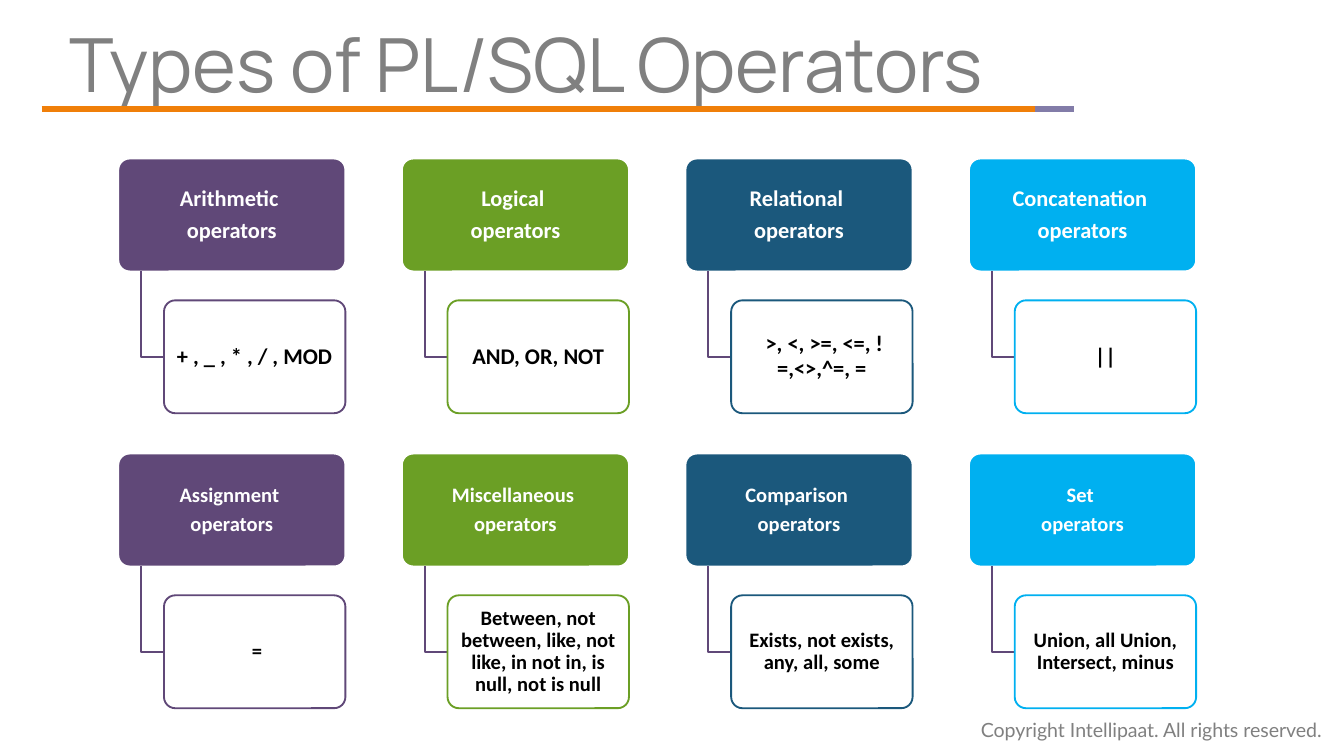
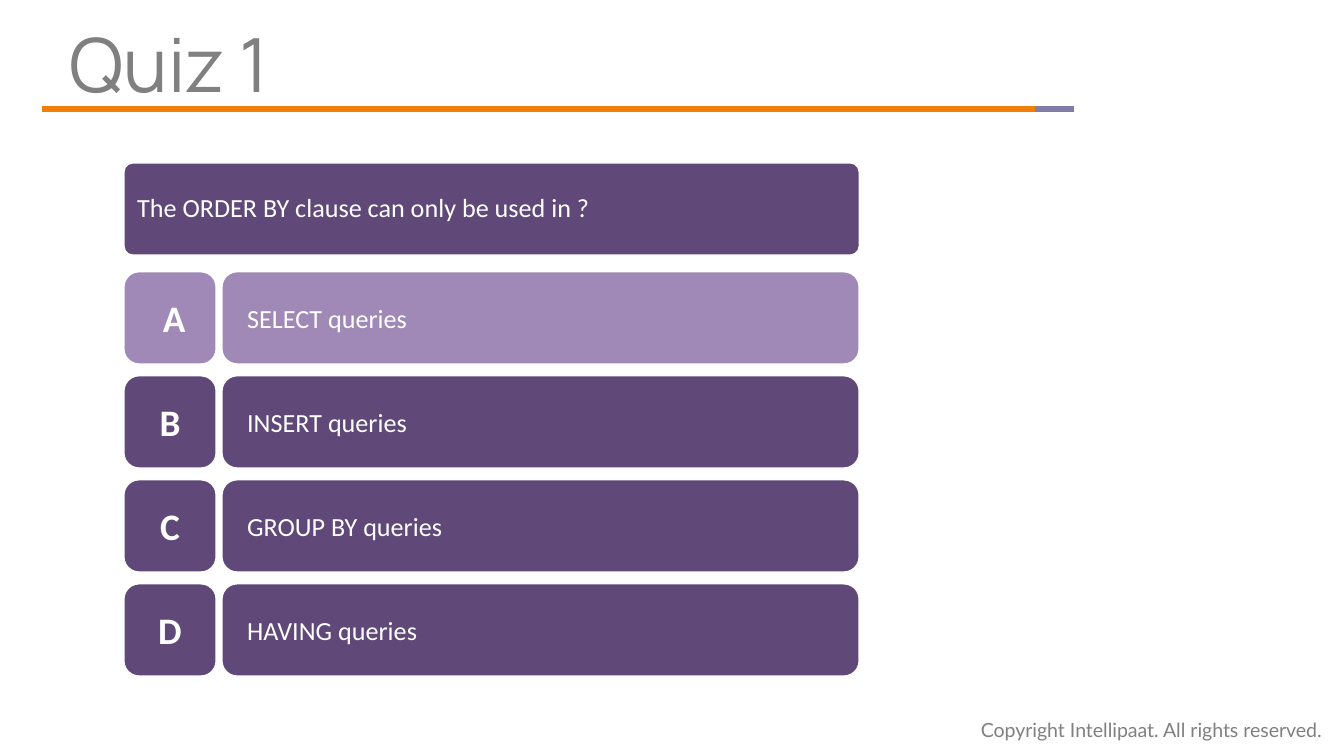
from lxml import etree
from pptx import Presentation
from pptx import util as u
from pptx.dml.color import RGBColor
from pptx.enum import shapes, text
from pptx.oxml import ns

WHITE = RGBColor(0xFF, 0xFF, 0xFF)
BLACK = RGBColor(0x00, 0x00, 0x00)
GREY = RGBColor(0x80, 0x80, 0x80)
ORANGE = RGBColor(0xF0, 0x7F, 0x09)
LILAC = RGBColor(0x82, 0x7C, 0xA8)
PURPLE = RGBColor(0x60, 0x48, 0x78)
MAUVE = RGBColor(0xA0, 0x88, 0xB7)
GREEN = RGBColor(0x6B, 0x9F, 0x25)
NAVY = RGBColor(0x1B, 0x58, 0x7C)
SKY = RGBColor(0x00, 0xB0, 0xF0)

COLS, ROWS = 100, 56.25
CELL = u.Inches(0.1)
LEFT, MID = text.PP_ALIGN.LEFT, text.PP_ALIGN.CENTER


def grid(*cells):
    """Turn grid cells into lengths."""
    return [u.Emu(round(cell * CELL)) for cell in cells]


class Deck:
    """Holds the shared style and the current slide."""

    def __init__(self):
        self.prs = Presentation()
        self.prs.slide_width, self.prs.slide_height = grid(COLS, ROWS)
        self.slide = None

    def page(self, title):
        self.slide = self.prs.slides.add_slide(self.prs.slide_layouts[5])
        self.title(title)
        self.rule(3.1, 77, ORANGE)
        self.rule(77, 79.9, LILAC)
        self.footer("Copyright Intellipaat. All rights reserved.")

    def title(self, words):
        box = self.slide.shapes.title
        box.left, box.top, box.width, box.height = grid(5.2, 1.6, 71, 6.3)
        self.label(box.text_frame, words, 40, GREY, name="Manrope", pad=(0, 0.5, 1, 0.5),
                   anchor=text.MSO_ANCHOR.TOP, lead=0.9)

    def rule(self, start, end, color):
        line = self.slide.shapes.add_connector(
            shapes.MSO_CONNECTOR.STRAIGHT, *grid(start, 8.1, end, 8.1))
        line.line.color.rgb = color
        line.line.width = u.Pt(3)
        etree.SubElement(line._element.spPr, ns.qn("a:effectLst"))

    def footer(self, words):
        box = self.slide.shapes.add_textbox(*grid(72, 52.9, 28.3, 2.8))
        frame = box.text_frame
        self.label(frame, words, 10.5, GREY, name="Lato", pad=(1, 0.5, 1, 0.5))
        frame.word_wrap = False
        frame.auto_size = text.MSO_AUTO_SIZE.SHAPE_TO_FIT_TEXT

    def label(self, frame, words, size, color, name="Calibri", bold=False, align=LEFT,
              pad=(0.3, 0.2, 0.3, 0.2), anchor=text.MSO_ANCHOR.MIDDLE, lead=1.0, after=0):
        """Fill a frame, one paragraph a line; after is a share of the text size."""
        frame.text = words
        frame.word_wrap = True
        frame.auto_size = text.MSO_AUTO_SIZE.NONE
        frame.vertical_anchor = anchor
        (frame.margin_left, frame.margin_top,
         frame.margin_right, frame.margin_bottom) = grid(*pad)
        for par in frame.paragraphs:
            par.alignment = align
            par.line_spacing = lead
            par.space_before = u.Pt(0)
            par.space_after = u.Pt(after * size)
            font = par.font
            font.name, font.size, font.bold = name, u.Pt(size), bold
            font.color.rgb = color

    def box(self, area, words, size, fill, ink=WHITE, edge=WHITE, curve=0.1, alpha=None,
            **style):
        """Add a rounded box with text; alpha is the fill's opacity in percent."""
        box = self.slide.shapes.add_shape(
            shapes.MSO_SHAPE.ROUNDED_RECTANGLE, *grid(*area))
        box.adjustments[0] = curve
        box.shadow.inherit = False
        box.fill.solid()
        box.fill.fore_color.rgb = fill
        if alpha:
            tint = box._element.spPr.find(".//" + ns.qn("a:srgbClr"))
            etree.SubElement(tint, ns.qn("a:alpha"), val=str(alpha * 1000))
        box.line.color.rgb = edge
        box.line.width = u.Pt(1)
        self.label(box.text_frame, words, size, ink, **style)

    def elbow(self, left, top, right, low):
        pen = self.slide.shapes.build_freeform(*grid(left, top))
        pen.add_line_segments([grid(left, low), grid(right, low)], close=False)
        bend = pen.convert_to_shape()
        bend.shadow.inherit = False
        bend.fill.background()
        bend.line.color.rgb = PURPLE
        bend.line.width = u.Pt(1)

    def card(self, left, top, head, body, size, color):
        """Add a heading box with a detail box hung below it."""
        style = dict(bold=True, align=MID, lead=0.9, after=0.35)
        inner, low = left + 3.4, top + 10.55
        self.box((left, top, 16.9, 8.4), head, size, color, **style)
        self.elbow(left + 1.7, top + 8.4, inner, low + 4.2)
        self.box((inner, low, 13.5, 8.4), body, size, WHITE, ink=BLACK, edge=color,
                 alpha=90, **style)

    def choice(self, top, mark, words, color):
        """Add a lettered answer row."""
        self.box((9.2, top, 6.9, 6.9), mark, 20, color, curve=0.167, bold=True,
                 align=MID, pad=(1, 0.5, 1, 0.5))
        self.box((16.5, top, 47.45, 6.9), words, 14, color, curve=0.167,
                 pad=(1.55, 1.5, 1.55, 1.5))


def types(deck):
    deck.page("Types of PL/SQL Operators")
    hues = (PURPLE, GREEN, NAVY, SKY)
    rows = (
        (12, (("Arithmetic", "+ , _ , * , / , MOD"),
              ("Logical", "AND, OR, NOT"),
              ("Relational", " >, <, >=, <=, !=,<>,^=, ="),
              ("Concatenation", "||"))),
        (11, (("Assignment", " ="),
              ("Miscellaneous",
               "Between, not between, like, not like, in not in, is null, not is null"),
              ("Comparison", "Exists, not exists, any, all, some"),
              ("Set", "Union, all Union, Intersect, minus"))),
    )
    for row, (size, cards) in enumerate(rows):
        for col, ((name, body), hue) in enumerate(zip(cards, hues)):
            deck.card(8.8 + 21.1 * col, 11.8 + 21.95 * row,
                      f"{name} \noperators", body, size, hue)


def quiz(deck):
    deck.page("Quiz 1")
    deck.box((9.2, 12.1, 54.75, 6.9), "The ORDER BY clause can only be used in ?",
             14, PURPLE, pad=(0.8, 0.5, 0.8, 0.5), lead=0.9, after=0.35)
    picks = ((" A", "SELECT", MAUVE), ("B", "INSERT", PURPLE),
             ("C", "GROUP BY", PURPLE), ("D", "HAVING", PURPLE))
    for row, (mark, verb, hue) in enumerate(picks):
        deck.choice(20.2 + 7.74 * row, mark, f"{verb} queries", hue)


def main():
    deck = Deck()
    types(deck)
    quiz(deck)
    deck.prs.save("out.pptx")


if __name__ == "__main__":
    main()
